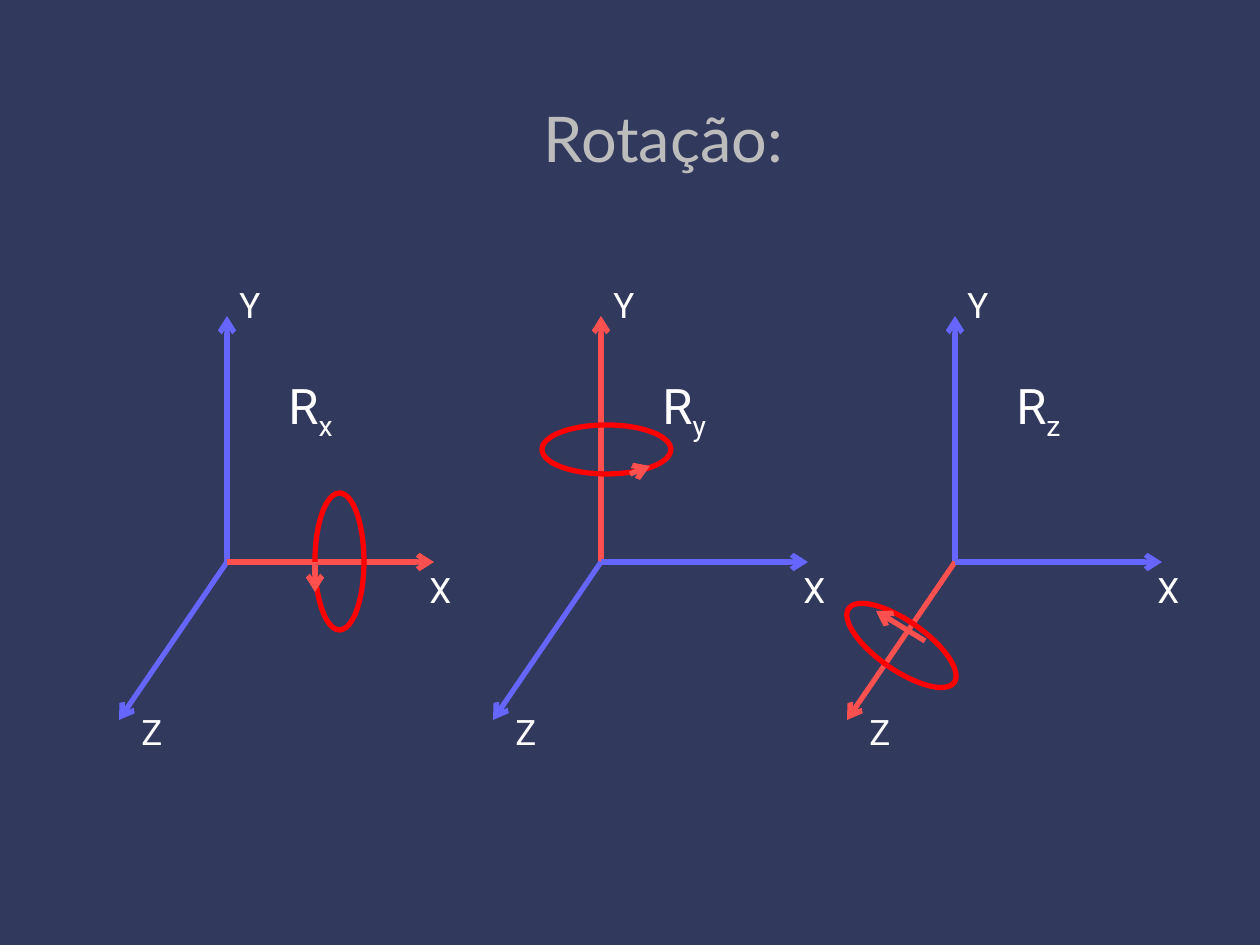
from pptx import Presentation
from pptx.dml.color import RGBColor
from pptx.enum.shapes import MSO_CONNECTOR, MSO_SHAPE
from pptx.enum.text import MSO_ANCHOR, PP_ALIGN
from pptx.oxml.ns import qn
from pptx.util import Emu, Pt
from lxml.etree import SubElement

COLORS = {
    "background": "31395D", "title": "BCBCBC", "label": "FFFFFF",
    "axis": "6666FF", "active": "FF5050", "ring": "FF0000",
}
PX_PER_INCH = 126


def px(n):
    return Emu(round(n * 914400 / PX_PER_INCH))


def color(name):
    return RGBColor.from_string(COLORS[name])


class Diagram:
    line_width = Pt(3)

    def __init__(self, prs):
        self.s = prs.slides.add_slide(prs.slide_layouts[6])
        self.s.background.fill.solid()
        self.s.background.fill.fore_color.rgb = color("background")

    def text(self, box, text, size, fill="label", font="Roboto", sub="", wrap=False, **fmt):
        tf = self.s.shapes.add_textbox(*map(px, box)).text_frame
        tf.word_wrap = wrap
        tf.vertical_anchor = MSO_ANCHOR.MIDDLE if wrap else MSO_ANCHOR.TOP
        p = tf.paragraphs[0]
        for name, value in fmt.items():
            setattr(p, name, value)
        for part, baseline in ((text, None), (sub, "-25000")):
            if not part:
                continue
            r = p.add_run()
            r.text = part
            for name, value in {"name": font, "size": Pt(size)}.items():
                setattr(r.font, name, value)
            r.font.color.rgb = color(fill)
            if baseline:
                r.font._element.set("baseline", baseline)

    def arrow(self, start, end, stroke):
        sp = self.s.shapes.add_connector(MSO_CONNECTOR.STRAIGHT, *map(px, start + end))
        sp.line.color.rgb = color(stroke)
        sp.line.width = self.line_width
        SubElement(sp.line._get_or_add_ln(), qn("a:tailEnd"), type="arrow")
        SubElement(sp._element.spPr, qn("a:effectLst"))

    def ring(self, box, rotation):
        sp = self.s.shapes.add_shape(MSO_SHAPE.OVAL, *map(px, box))
        sp.shadow.inherit = False
        sp.fill.background()
        sp.line.color.rgb = color("ring")
        sp.line.width = self.line_width
        sp.rotation = rotation

    def axes(self, x, y, active):
        tips = {"y": (0, -246), "z": (-108, 158), "x": (207, 0)}
        labels = {"y": (0, -285), "z": (-98, 142), "x": (190, 0)}
        for axis, (dx, dy) in tips.items():
            self.arrow((x, y), (x + dx, y + dy), "active" if axis == active else "axis")
        for axis, (dx, dy) in labels.items():
            self.text((x + dx, y + dy, 45, 55), axis.upper(), 20)
        self.text((x + 49, y - 193, 73, 72), "R", 28, sub=active)


def main():
    prs = Presentation()
    prs.slide_width, prs.slide_height = px(1260), px(945)
    d = Diagram(prs)
    d.text((86, 69, 1155, 136), "Rotação:", 36, "title", "Lato",
           wrap=True, alignment=PP_ALIGN.CENTER)
    for axis, x in {"x": 227, "y": 601, "z": 955}.items():
        d.axes(x, 562, axis)
    rotations = [
        ((315, 493, 49, 137), 0, (315, 562), (315, 592)),
        ((542, 425, 129, 49), 0, (630, 474), (650, 466)),
        ((837, 621, 129, 49), 35, (925, 641), (876, 611)),
    ]
    for box, angle, start, end in rotations:
        d.ring(box, angle)
        d.arrow(start, end, "active")
    prs.save("out.pptx")


if __name__ == "__main__":
    main()
